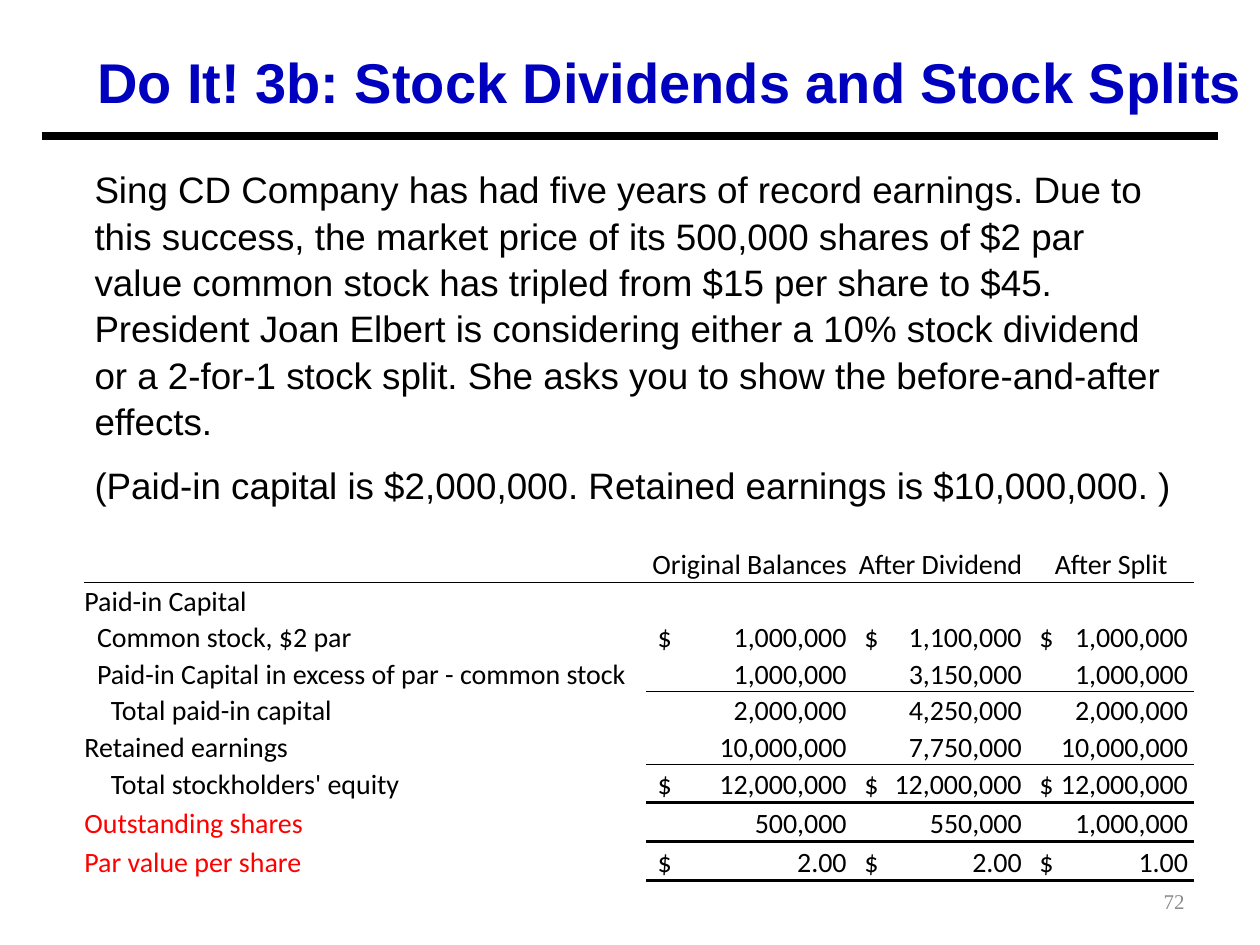
from dataclasses import dataclass

from lxml import etree
from pptx import Presentation
from pptx.dml.color import RGBColor
from pptx.enum.shapes import MSO_CONNECTOR
from pptx.enum.text import MSO_ANCHOR, MSO_AUTO_SIZE, PP_ALIGN
from pptx.oxml import parse_xml
from pptx.oxml.ns import nsdecls, qn
from pptx.util import Inches, Pt

LEFT, CENTER, RIGHT = PP_ALIGN.LEFT, PP_ALIGN.CENTER, PP_ALIGN.RIGHT
TOP, MIDDLE, BOTTOM = MSO_ANCHOR.TOP, MSO_ANCHOR.MIDDLE, MSO_ANCHOR.BOTTOM
FIXED = MSO_AUTO_SIZE.NONE
STRAIGHT = MSO_CONNECTOR.STRAIGHT
PLAIN = "{2D5ABB26-0587-4C30-8999-92F81FD0307C}"


@dataclass(frozen=True)
class Theme:
    blue: str = "0000BF"
    black: str = "000000"
    red: str = "FF0000"
    gray: str = "8C8C8C"
    sans: str = "Arial"
    grid: str = "Calibri"
    serif: str = "Times New Roman"
    title: int = 32
    body: int = 21
    cell: int = 16
    page: int = 12


THEME = Theme()

BODY = [
    "Sing CD Company has had five years of record earnings. Due to this success, "
    "the market price of its 500,000 shares of $2 par value common stock has "
    "tripled from $15 per share to $45. President Joan Elbert is considering "
    "either a 10% stock dividend or a 2-for-1 stock split. She asks you to show "
    "the before-and-after effects.",
    "(Paid-in capital is $2,000,000. Retained earnings is $10,000,000. )",
]

WIDTHS = [4.46, 1.64, 1.39, 1.32]
HEIGHTS = [0.29] * 6 + [0.3, 0.31, 0.31]
HEADS = ["", "Original Balances", "After Dividend", "After Split"]
ROWS = [
    ("Paid-in Capital", 0, "", "", ""),
    ("Common stock, $2 par", 0.1, "$\t1,000,000", "$\t1,100,000", "$\t1,000,000"),
    ("Paid-in Capital in excess of par - common stock", 0.1,
     "1,000,000", "3,150,000", "1,000,000"),
    ("Total paid-in capital", 0.21, "2,000,000", "4,250,000", "2,000,000"),
    ("Retained earnings", 0, "10,000,000", "7,750,000", "10,000,000"),
    ("Total stockholders' equity", 0.21,
     "$\t12,000,000", "$\t12,000,000", "$\t12,000,000"),
    ("Outstanding shares", 0, "500,000", "550,000", "1,000,000"),
    ("Par value per share", 0, "$\t2.00", "$\t2.00", "$\t1.00"),
]
RULES = {3: 0.5, 5: 0.5, 6: 2, 7: 2, 8: 2}
RED_ROWS = (7, 8)
PAD = 0.05
INSET = 0.09


def style(para, font, size, color, bold=False):
    for run in para.runs:
        run.font.name = font
        run.font.size = Pt(size)
        run.font.bold = bold
        run.font.color.rgb = RGBColor.from_string(color)


def place(shape, left, top, width, height, anchor=TOP):
    shape.left, shape.top = Inches(left), Inches(top)
    shape.width, shape.height = Inches(width), Inches(height)
    frame = shape.text_frame
    frame.auto_size = FIXED
    frame.word_wrap = True
    frame.vertical_anchor = anchor
    return frame


def add_title(slide, text):
    frame = place(slide.shapes.title, 0.67, 0.33, 9.33, 0.61)
    frame.text = text
    para = frame.paragraphs[0]
    para.alignment = LEFT
    style(para, THEME.sans, THEME.title, THEME.blue, True)


def add_body(slide, lines):
    frame = place(slide.placeholders[1], 0.65, 1.26, 8.81, 2.73)
    frame.text = "\n".join(lines)
    for num, para in enumerate(frame.paragraphs):
        props = para._p.get_or_add_pPr()
        props.set("marL", "0")
        props.set("indent", "0")
        etree.SubElement(props, qn("a:buNone"))
        para.line_spacing = 1.05
        para.space_before = Pt(10 if num else 0)
        style(para, THEME.sans, THEME.body, THEME.black)


def add_rule(slide):
    line = slide.shapes.add_connector(
        STRAIGHT, Inches(0.33), Inches(1.08), Inches(9.67), Inches(1.08))
    line.line.color.rgb = RGBColor.from_string(THEME.black)
    line.line.width = Pt(4.5)
    etree.SubElement(line._element.spPr, qn("a:effectLst"))


def add_page(slide, text):
    box = slide.shapes.add_textbox(0, 0, 0, 0)
    frame = place(box, 7.17, 6.95, 2.33, 0.4, MIDDLE)
    frame.text = text
    para = frame.paragraphs[0]
    para.alignment = RIGHT
    style(para, THEME.serif, THEME.page, THEME.gray)


def fill_cell(cell, text, align, color=THEME.black, left=0, right=0):
    cell.fill.background()
    cell.vertical_anchor = BOTTOM
    cell.margin_left, cell.margin_right = Inches(left), Inches(right)
    cell.margin_top = cell.margin_bottom = 0
    cell.text = text
    para = cell.text_frame.paragraphs[0]
    para.alignment = align
    style(para, THEME.grid, THEME.cell, color)
    if not text:
        etree.SubElement(para._p, qn("a:endParaRPr"), sz=str(THEME.cell * 100))


def fill_sum(cell, text, width):
    if "\t" not in text:
        fill_cell(cell, text, RIGHT, right=PAD)
        return
    fill_cell(cell, text, LEFT, left=INSET)
    props = cell.text_frame.paragraphs[0]._p.get_or_add_pPr()
    tabs = etree.SubElement(props, qn("a:tabLst"))
    stop = Inches(width - INSET - PAD)
    etree.SubElement(tabs, qn("a:tab"), pos=str(stop), algn="r")


def underline(cell, width):
    edge = parse_xml(
        f'<a:lnB {nsdecls("a")} w="{Pt(width)}"><a:solidFill>'
        f'<a:srgbClr val="{THEME.black}"/></a:solidFill></a:lnB>')
    cell._tc.get_or_add_tcPr().insert(0, edge)


def add_grid(slide):
    shape = slide.shapes.add_table(
        len(HEIGHTS), len(WIDTHS), Inches(0.67), Inches(4.33),
        Inches(sum(WIDTHS)), Inches(sum(HEIGHTS)))
    grid = shape.table
    grid.first_row = grid.horz_banding = False
    next(shape._element.iter(qn("a:tableStyleId"))).text = PLAIN
    for col, width in zip(grid.columns, WIDTHS):
        col.width = Inches(width)
    for row, height in zip(grid.rows, HEIGHTS):
        row.height = Inches(height)
    for col, head in enumerate(HEADS):
        fill_cell(grid.cell(0, col), head, CENTER)
        underline(grid.cell(0, col), 0.5)
    for row, (label, indent, *sums) in enumerate(ROWS, 1):
        color = THEME.red if row in RED_ROWS else THEME.black
        fill_cell(grid.cell(row, 0), label, LEFT, color, indent)
        for col, text in enumerate(sums, 1):
            cell = grid.cell(row, col)
            fill_sum(cell, text, WIDTHS[col])
            if row in RULES:
                underline(cell, RULES[row])


def main():
    deck = Presentation()
    deck.slide_width, deck.slide_height = Inches(10), Inches(7.5)
    slide = deck.slides.add_slide(deck.slide_layouts[1])
    add_title(slide, "Do It! 3b: Stock Dividends and Stock Splits")
    add_rule(slide)
    add_page(slide, "72")
    add_body(slide, BODY)
    add_grid(slide)
    deck.save("out.pptx")


if __name__ == "__main__":
    main()
